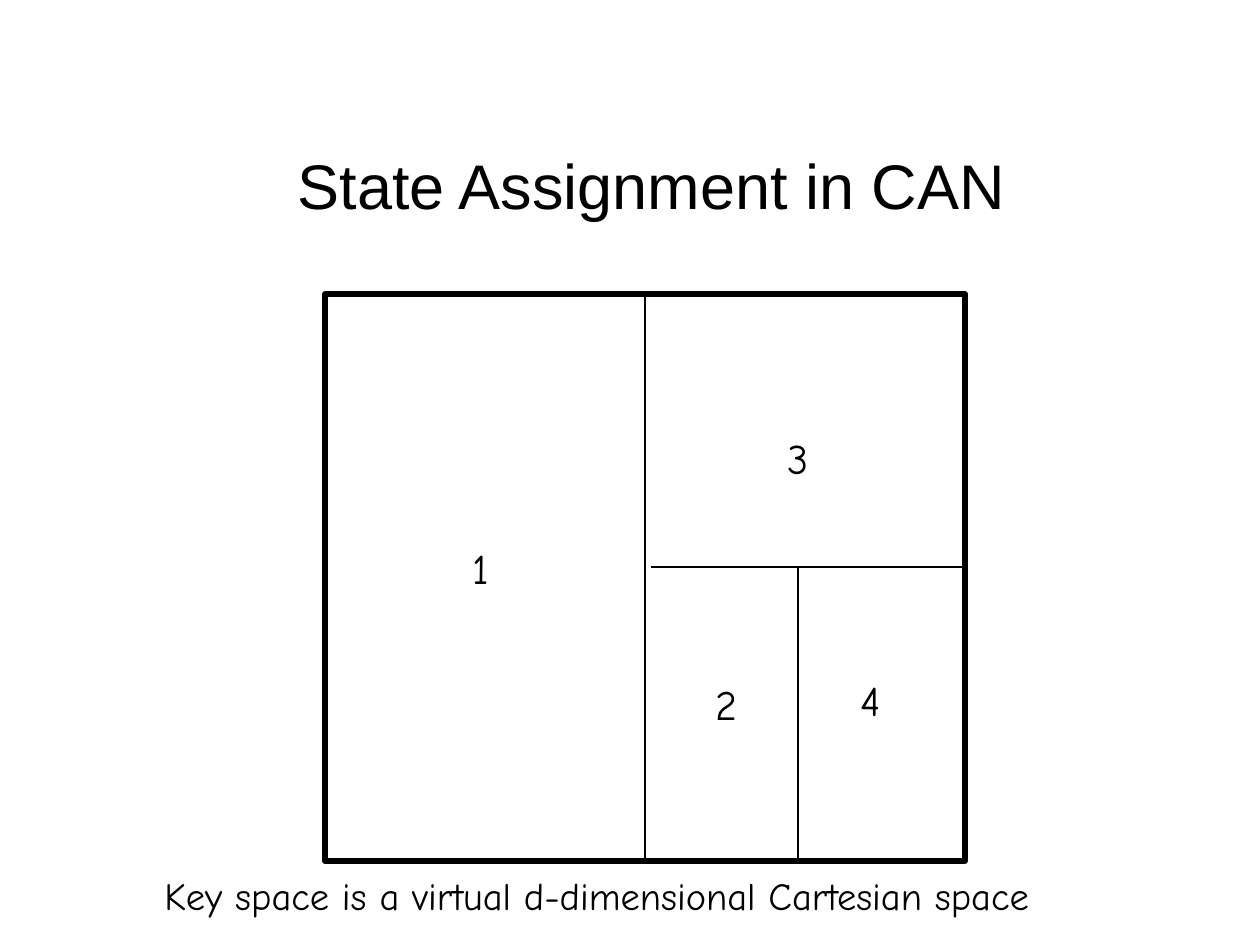
from lxml.etree import SubElement
from pptx import Presentation
from pptx.dml.color import RGBColor
from pptx.enum.shapes import MSO_CONNECTOR as CONNECTOR, MSO_SHAPE as SHAPE
from pptx.enum.text import MSO_ANCHOR as ANCHOR, MSO_AUTO_SIZE as AUTO_SIZE, PP_ALIGN as ALIGN
from pptx.oxml.ns import qn
from pptx.util import Emu, Pt

PX_PER_INCH = 126
BLACK = "000000"
ZONE_LABELS = [
    ("1", 460, 536, 44),
    ("2", 703, 672, 50),
    ("3", 775, 426, 50),
    ("4", 848, 668, 50),
]
ZONE_BORDERS = [
    (645, 291, 645, 863),
    (651, 567, 966, 567),
    (798, 567, 798, 861),
]


def px(*lengths):
    return [Emu(round(length * 914400 / PX_PER_INCH)) for length in lengths]


def color(hex_string):
    return RGBColor.from_string(hex_string)


def format_line(line, points):
    line.color.rgb = color(BLACK)
    line.width = Pt(points)


def write_text(text_frame, text, font_name, size):
    text_frame.text = text
    font = text_frame.paragraphs[0].runs[0].font
    font.name = font_name
    font.size = Pt(size)
    font.color.rgb = color(BLACK)


def set_title(slide, text):
    title = slide.shapes.title
    title.left, title.top, title.width, title.height = px(116, 105, 1071, 158)
    write_text(title.text_frame, text, "Arial", 36)
    title.text_frame.vertical_anchor = ANCHOR.MIDDLE
    title.text_frame.paragraphs[0].alignment = ALIGN.CENTER


def add_key_space(slide):
    shape = slide.shapes.add_shape(SHAPE.RECTANGLE, *px(325, 294, 640, 567))
    shape.shadow.inherit = False
    shape.fill.background()
    format_line(shape.line, 3)


def add_border(slide, start_x, start_y, end_x, end_y):
    connector = slide.shapes.add_connector(
        CONNECTOR.STRAIGHT, *px(start_x, start_y, end_x, end_y)
    )
    format_line(connector.line, 0.75)
    SubElement(connector._element.spPr, qn("a:effectLst"))


def add_label(slide, text, left, top, width, height, size):
    text_box = slide.shapes.add_textbox(*px(left, top, width, height))
    text_frame = text_box.text_frame
    text_frame.word_wrap = False
    text_frame.auto_size = AUTO_SIZE.SHAPE_TO_FIT_TEXT
    write_text(text_frame, text, "Comic Neue", size)


def main():
    presentation = Presentation()
    presentation.slide_width, presentation.slide_height = px(1260, 945)
    slide = presentation.slides.add_slide(presentation.slide_layouts[5])
    set_title(slide, "State Assignment in CAN")
    add_key_space(slide)
    for border in ZONE_BORDERS:
        add_border(slide, *border)
    for text, left, top, width in ZONE_LABELS:
        add_label(slide, text, left, top, width, 63, 24)
    caption = "Key space is a virtual d-dimensional Cartesian space"
    add_label(slide, caption, 152, 866, 950, 59, 22)
    presentation.save("out.pptx")


if __name__ == "__main__":
    main()
